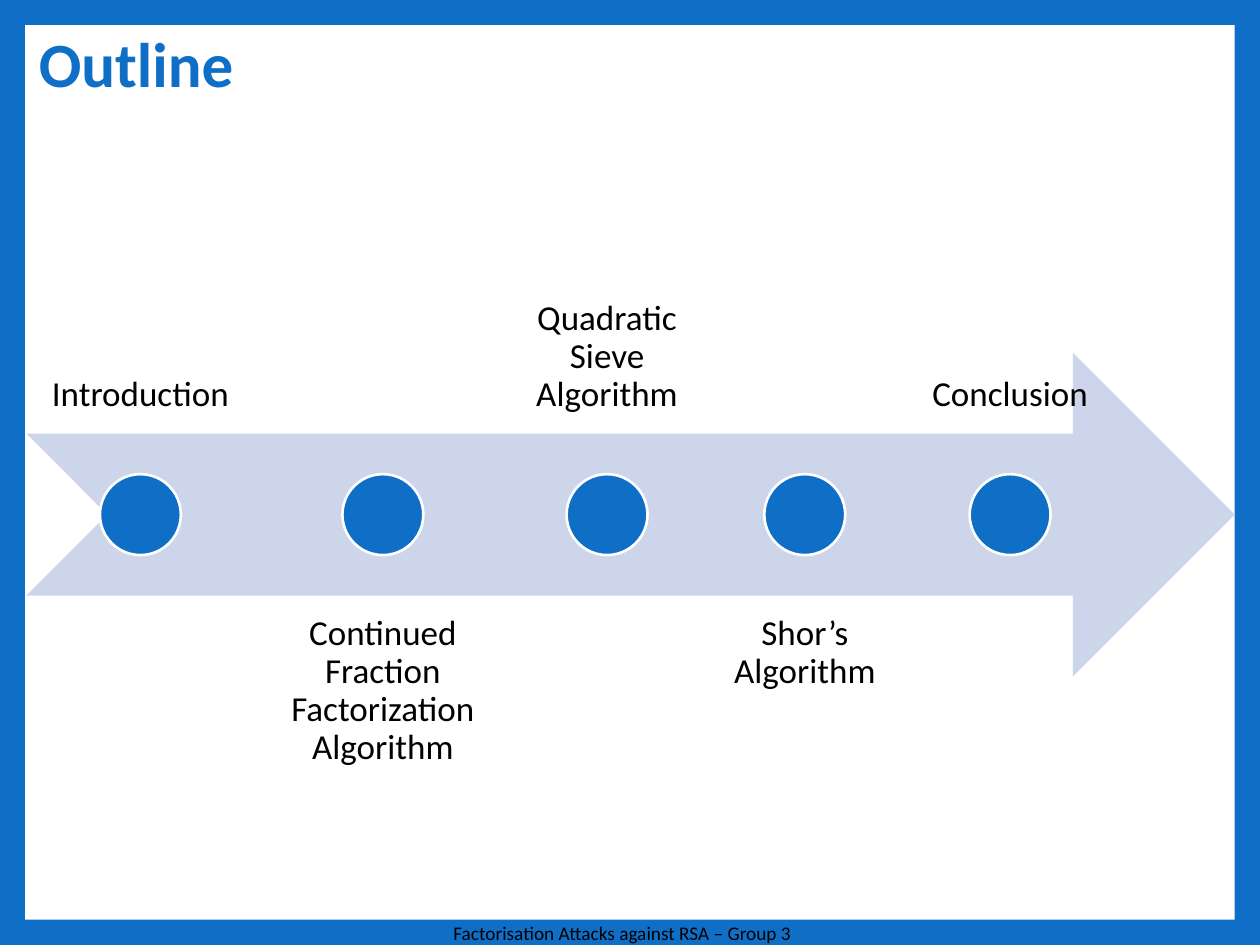
import dataclasses

import pptx
import pptx.dml.color
import pptx.enum.shapes
import pptx.enum.text
import pptx.util

Pt = pptx.util.Pt
SHAPE = pptx.enum.shapes.MSO_SHAPE
ALIGN = pptx.enum.text.PP_ALIGN
ANCHOR = pptx.enum.text.MSO_ANCHOR
AUTO_SIZE = pptx.enum.text.MSO_AUTO_SIZE


@dataclasses.dataclass(frozen=True)
class Theme:
    font: str = "Calibri"
    accent: str = "0F6FC6"
    paper: str = "FFFFFF"
    arrow: str = "CCD5EA"
    ink: str = "000000"
    title: int = 36
    label: int = 20
    footer: int = 11


THEME = Theme()

# Each topic with the width of its label
TOPICS = [
    ("Introduction", 128.9),
    ("Continued Fraction Factorization Algorithm", 136.8),
    ("Quadratic Sieve Algorithm", 108),
    ("Shor’s Algorithm", 106.6),
    ("Conclusion", 116.6),
]
LABEL_LEFT, LABEL_GAP = 15.8, 5.7
ARROW_LEFT, ARROW_TOP, ARROW_WIDTH, ARROW_HEIGHT = 15.1, 201.6, 690.5, 185
DOT = ARROW_HEIGHT / 4
UPPER_TOP, LOWER_TOP = 62.6, 340.6


def rgb(value):
    return pptx.dml.color.RGBColor.from_string(value)


def add_shape(slide, kind, left, top, width, height, fill, line=None):
    sp = slide.shapes.add_shape(kind, Pt(left), Pt(top), Pt(width), Pt(height))
    sp.shadow.inherit = False
    sp.fill.solid()
    sp.fill.fore_color.rgb = rgb(fill)
    if line:
        sp.line.color.rgb = rgb(line)
        sp.line.width = Pt(1.5)
    else:
        sp.line.fill.background()
    return sp


def add_text(slide, text, left, top, width, height, *, size, color=THEME.ink,
             bold=False, align=ALIGN.LEFT, anchor=ANCHOR.TOP, spacing=None,
             inset=None, wrap=True, auto_size=AUTO_SIZE.NONE):
    sp = slide.shapes.add_textbox(Pt(left), Pt(top), Pt(width), Pt(height))
    tf = sp.text_frame
    tf.word_wrap = wrap
    tf.auto_size = auto_size
    tf.vertical_anchor = anchor
    if inset is not None:
        tf.margin_left = tf.margin_right = Pt(inset)
        tf.margin_top = tf.margin_bottom = Pt(inset)
    p = tf.paragraphs[0]
    p.alignment = align
    p.line_spacing = spacing
    r = p.add_run()
    r.text = text
    r.font.name = THEME.font
    r.font.size = Pt(size)
    r.font.bold = bold
    r.font.color.rgb = rgb(color)
    return sp


def add_timeline(slide):
    """Draw the arrow with a dot per topic and labels above and below in turn."""
    add_shape(slide, SHAPE.NOTCHED_RIGHT_ARROW, ARROW_LEFT, ARROW_TOP,
              ARROW_WIDTH, ARROW_HEIGHT, THEME.arrow)
    dot_top = ARROW_TOP + (ARROW_HEIGHT - DOT) / 2
    left = LABEL_LEFT
    for i, (topic, width) in enumerate(TOPICS):
        above = i % 2 == 0
        add_text(slide, topic, left, UPPER_TOP if above else LOWER_TOP,
                 width, ARROW_HEIGHT, size=THEME.label, align=ALIGN.CENTER,
                 anchor=ANCHOR.BOTTOM if above else ANCHOR.TOP,
                 spacing=0.9, inset=11.2)
        add_shape(slide, SHAPE.OVAL, left + (width - DOT) / 2, dot_top,
                  DOT, DOT, THEME.accent, THEME.paper)
        left += width + LABEL_GAP


def main():
    prs = pptx.Presentation()
    prs.slide_width, prs.slide_height = Pt(720), Pt(540)
    slide = prs.slides.add_slide(prs.slide_layouts[6])
    slide.background.fill.solid()
    slide.background.fill.fore_color.rgb = rgb(THEME.accent)

    add_shape(slide, SHAPE.RECTANGLE, 14.4, 14.4, 691.2, 511.2, THEME.paper)
    add_timeline(slide)
    add_text(slide, "Factorisation Attacks against RSA – Group 3",
             252, 522.7, 216.7, 20.6, size=THEME.footer, wrap=False,
             auto_size=AUTO_SIZE.SHAPE_TO_FIT_TEXT)
    add_text(slide, "Outline", 15.1, 14.4, 583.2, 48.2, size=THEME.title,
             color=THEME.accent, bold=True, anchor=ANCHOR.MIDDLE, spacing=0.9)
    prs.save("out.pptx")


if __name__ == "__main__":
    main()
